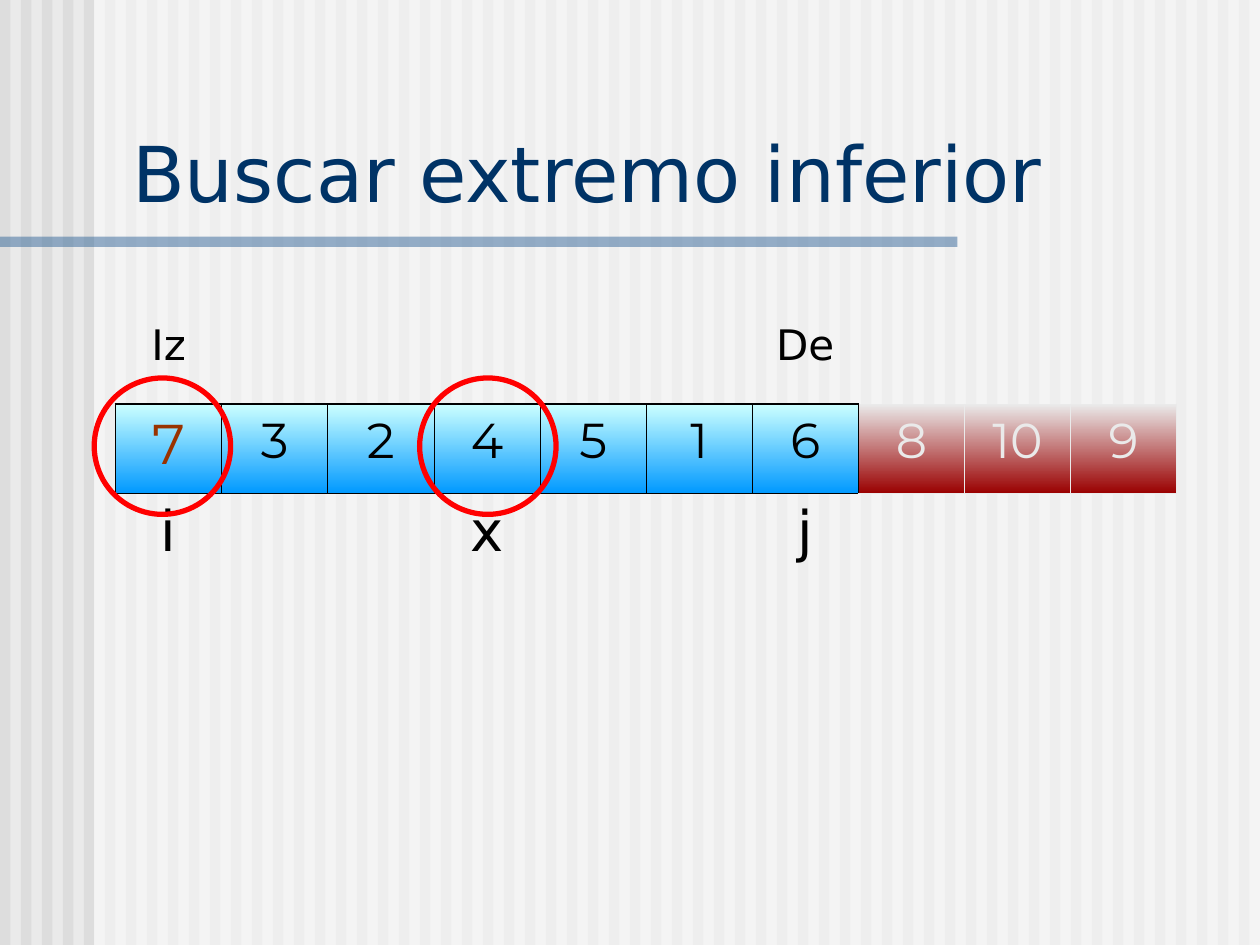
import pptx
import pptx.util
import pptx.dml.color
import pptx.enum.shapes
import pptx.enum.text
import pptx.oxml
import pptx.oxml.ns
from lxml import etree

Cm, Pt = pptx.util.Cm, pptx.util.Pt
KIND = pptx.enum.shapes.MSO_SHAPE
ALIGN = pptx.enum.text.PP_ALIGN
QN = pptx.oxml.ns.qn

HUES = {
    "back": "EAEAEA", "stripe": "DDDDDD", "veil": "FFFFFF", "rule": "336699",
    "title": "003366", "ink": "000000", "pick": "993300", "pale": "EAEAEA",
    "sky": "CCFFFF", "blue": "0099FF", "wine": "9A0000", "ring": "FF0000",
}
VALUES = [7, 3, 2, 4, 5, 1, 6, 8, 10, 9]
ABOVE = {0: "Iz", 6: "De"}
BELOW = {0: "i", 3: "x", 6: "j"}
LIVE = 7  # leading cells that belong to the current range
THICK, THIN = 1.08, 0.45


def tint(name):
    return pptx.dml.color.RGBColor.from_string(HUES[name])


def write(frame, text, size=28, font="DejaVu Sans", hue="ink",
          align=ALIGN.CENTER, before=0):
    para = frame.paragraphs[0]
    para.alignment = align
    para.space_before = Pt(before)
    run = para.add_run()
    run.text = text
    run.font.size = Pt(size)
    run.font.name = font
    run.font.color.rgb = tint(hue)


def block(slide, x, y, w, h, hue, alpha=None):
    """Add a plain rectangle; alpha is its opacity in percent."""
    box = slide.shapes.add_shape(KIND.RECTANGLE, Cm(x), Cm(y), Cm(w), Cm(h))
    box.shadow.inherit = False
    box.line.fill.background()
    box.fill.solid()
    box.fill.fore_color.rgb = tint(hue)
    if alpha:
        color = next(box.fill._xPr.iter(QN("a:srgbClr")))
        etree.SubElement(color, QN("a:alpha"), val=str(alpha * 1000))


def ring(slide, x, y, size):
    oval = slide.shapes.add_shape(KIND.OVAL, Cm(x), Cm(y), Cm(size), Cm(size))
    oval.shadow.inherit = False
    oval.fill.background()
    oval.line.color.rgb = tint("ring")
    oval.line.width = Pt(3)


def edge(cell, side, hue=None, width=0):
    """Draw one cell border, or hide it when no hue is given."""
    props = cell._tc.get_or_add_tcPr()
    line = etree.SubElement(props, QN("a:ln" + side), w=str(Pt(width)))
    if hue:
        fill = etree.SubElement(line, QN("a:solidFill"))
        etree.SubElement(fill, QN("a:srgbClr"), val=HUES[hue])
    else:
        etree.SubElement(line, QN("a:noFill"))


def frame(cell, row, col):
    """Give a cell its four borders; only the value row is boxed."""
    rim = ("ink", THICK) if col < LIVE else ("pale", THIN)
    left = ("ink", THICK if col == 0 else THIN) if col <= LIVE else rim
    right = ("ink", THIN) if col < LIVE else rim
    shown = {
        0: {"B": rim},
        1: {"L": left, "R": right, "T": rim, "B": rim},
        2: {"T": rim},
    }[row]
    for side in "LRTB":
        edge(cell, side, *shown.get(side, ()))


def shade(cell, top, base):
    cell.fill.gradient()
    cell.fill.gradient_angle = 270
    for stop, place, hue in zip(cell.fill.gradient_stops, (0, 1), (top, base)):
        stop.position = place
        stop.color.rgb = tint(hue)


def array(slide):
    """Build the table: bounds above, values, indices below."""
    count = len(VALUES)
    grid = slide.shapes.add_table(
        3, count, Cm(2.33), Cm(6.35), Cm(21.39), Cm(5.4)).table
    grid.first_row = grid.horz_banding = False
    for row in range(3):
        for col in range(count):
            cell = grid.cell(row, col)
            frame(cell, row, col)
            if row != 1:
                cell.fill.background()
    for col, value in enumerate(VALUES):
        cell = grid.cell(1, col)
        live = col < LIVE
        shade(cell, *(("sky", "blue") if live else ("pale", "wine")))
        look = {"hue": "ink" if live else "pale", "before": 7}
        if col == 0:
            look = {"hue": "pick", "size": 32, "before": 8}
        write(cell.text_frame, str(value), font="Montserrat", **look)
    for row, marks, size, before in ((0, ABOVE, 24, 6), (2, BELOW, 32, 8)):
        for col, text in marks.items():
            write(grid.cell(row, col).text_frame, text, size=size,
                  before=before)


def backdrop(slide):
    slide.background.fill.solid()
    slide.background.fill.fore_color.rgb = tint("back")
    count = 60
    step = 25.4 / count
    for i in range(count):
        block(slide, i * step, 0, step / 2, 19.05, "stripe")
    block(slide, 1.9, 0, 23.5, 19.05, "veil", 50)
    block(slide, 0, 4.77, 19.3, 0.21, "rule", 50)


def head(slide, text):
    title = slide.shapes.title
    slide.shapes._spTree.append(title.element)  # in front of the backdrop
    title.left, title.top = Cm(2.41), Cm(2.39)
    title.width, title.height = Cm(22.68), Cm(2.13)
    title.text_frame.vertical_anchor = pptx.enum.text.MSO_ANCHOR.BOTTOM
    title.text_frame.auto_size = pptx.enum.text.MSO_AUTO_SIZE.NONE
    write(title.text_frame, text, size=44, hue="title", align=ALIGN.LEFT)


def main():
    deck = pptx.Presentation()
    deck.slide_width, deck.slide_height = Cm(25.4), Cm(19.05)
    slide = deck.slides.add_slide(deck.slide_layouts[5])
    backdrop(slide)
    array(slide)
    head(slide, "Buscar extremo inferior")
    for x in (8.46, 1.9):
        ring(slide, x, 7.62, 2.75)
    deck.save("out.pptx")


if __name__ == "__main__":
    main()
